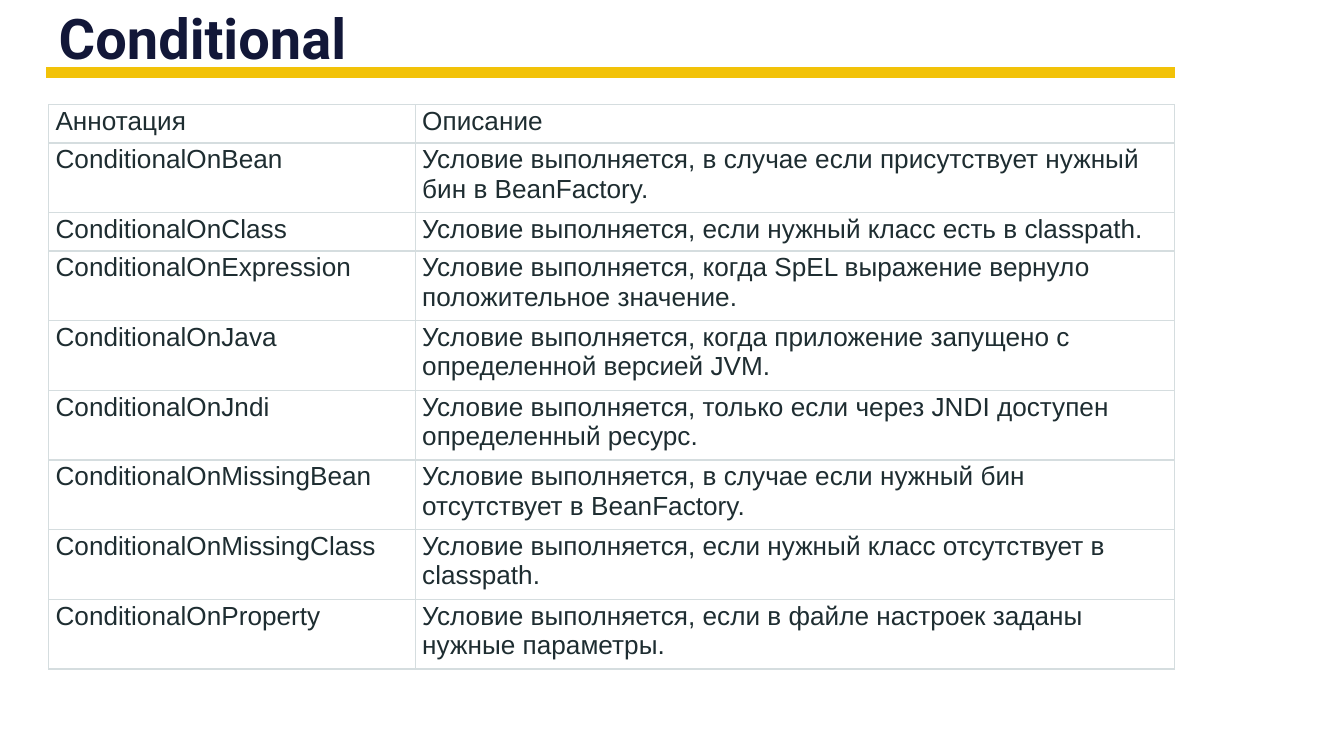
from lxml import etree
from pptx import Presentation
from pptx.dml.color import RGBColor
from pptx.enum.shapes import MSO_CONNECTOR
from pptx.enum.text import MSO_ANCHOR
from pptx.oxml.ns import qn
from pptx.util import Cm, Pt

STRAIGHT = MSO_CONNECTOR.STRAIGHT
TOP = MSO_ANCHOR.TOP

COLORS = {
    "title": "121738",
    "rule": "F2C208",
    "text": "1E2D31",
    "border": "D5DDDF",
    "cell": "FFFFFF",
}

TITLE = "Conditional"
ROWS = [
    ("Аннотация", "Описание"),
    ("ConditionalOnBean",
     "Условие выполняется, в случае если присутствует нужный бин в BeanFactory."),
    ("ConditionalOnClass",
     "Условие выполняется, если нужный класс есть в classpath."),
    ("ConditionalOnExpression",
     "Условие выполняется, когда SpEL выражение вернуло положительное значение."),
    ("ConditionalOnJava",
     "Условие выполняется, когда приложение запущено с определенной версией JVM."),
    ("ConditionalOnJndi",
     "Условие выполняется, только если через JNDI доступен определенный ресурс."),
    ("ConditionalOnMissingBean",
     "Условие выполняется, в случае если нужный бин отсутствует в BeanFactory."),
    ("ConditionalOnMissingClass",
     "Условие выполняется, если нужный класс отсутствует в classpath."),
    ("ConditionalOnProperty",
     "Условие выполняется, если в файле настроек заданы нужные параметры."),
]
COLUMN_WIDTHS = [Cm(6.93), Cm(14.35)]
ONE_LINE, TWO_LINES = Cm(0.69), Cm(1.25)
CHARACTERS_PER_LINE = 60


def color(name):
    return RGBColor.from_string(COLORS[name])


def style_font(font, name, size, color_name, bold=False):
    font.name, font.size, font.bold = name, Pt(size), bold
    font.color.rgb = color(color_name)


def add_title(slide):
    box = slide.shapes.add_textbox(Cm(0.86), Cm(-0.18), Cm(23.67), Cm(1.55))
    frame = box.text_frame
    frame.word_wrap = True
    frame.vertical_anchor = TOP
    frame.margin_left = frame.margin_right = Cm(0.25)
    frame.margin_top = frame.margin_bottom = Cm(0.25)
    para = frame.paragraphs[0]
    para.text = TITLE
    style_font(para.font, "Roboto", 30, "title", bold=True)


def add_rule(slide):
    rule = slide.shapes.add_connector(STRAIGHT, Cm(0.87), Cm(1.37), Cm(22.21), Cm(1.37))
    rule.line.color.rgb = color("rule")
    rule.line.width = Pt(6)
    etree.SubElement(rule._element.spPr, qn("a:effectLst"))


def add_borders(cell):
    """Draw all four cell edges; they must precede the fill in tcPr."""
    properties = cell._tc.get_or_add_tcPr()
    for position, edge in enumerate(("a:lnL", "a:lnR", "a:lnT", "a:lnB")):
        line = etree.Element(qn(edge), w=str(Pt(0.75)))
        fill = etree.SubElement(line, qn("a:solidFill"))
        etree.SubElement(fill, qn("a:srgbClr"), val=COLORS["border"])
        properties.insert(position, line)


def fill_cell(cell, text):
    cell.margin_left = cell.margin_right = Cm(0.13)
    cell.margin_top, cell.margin_bottom = Cm(0.04), Cm(0.09)
    cell.vertical_anchor = TOP
    cell.fill.solid()
    cell.fill.fore_color.rgb = color("cell")
    add_borders(cell)
    para = cell.text_frame.paragraphs[0]
    para.text = text
    style_font(para.font, "Arial", 14, "text")


def add_annotation_table(slide):
    heights = [TWO_LINES if len(description) > CHARACTERS_PER_LINE else ONE_LINE
               for _, description in ROWS]
    table = slide.shapes.add_table(
        len(ROWS), len(COLUMN_WIDTHS), Cm(0.92), Cm(1.98),
        sum(COLUMN_WIDTHS), sum(heights)).table
    table.first_row = table.horz_banding = False
    for column, width in zip(table.columns, COLUMN_WIDTHS):
        column.width = width
    for row, height, texts in zip(table.rows, heights, ROWS):
        row.height = height
        for cell, text in zip(row.cells, texts):
            fill_cell(cell, text)


def main():
    deck = Presentation()
    deck.slide_width, deck.slide_height = Cm(25.4), Cm(14.29)
    slide = deck.slides.add_slide(deck.slide_layouts[6])
    add_rule(slide)
    add_title(slide)
    add_annotation_table(slide)
    deck.save("out.pptx")


if __name__ == "__main__":
    main()
